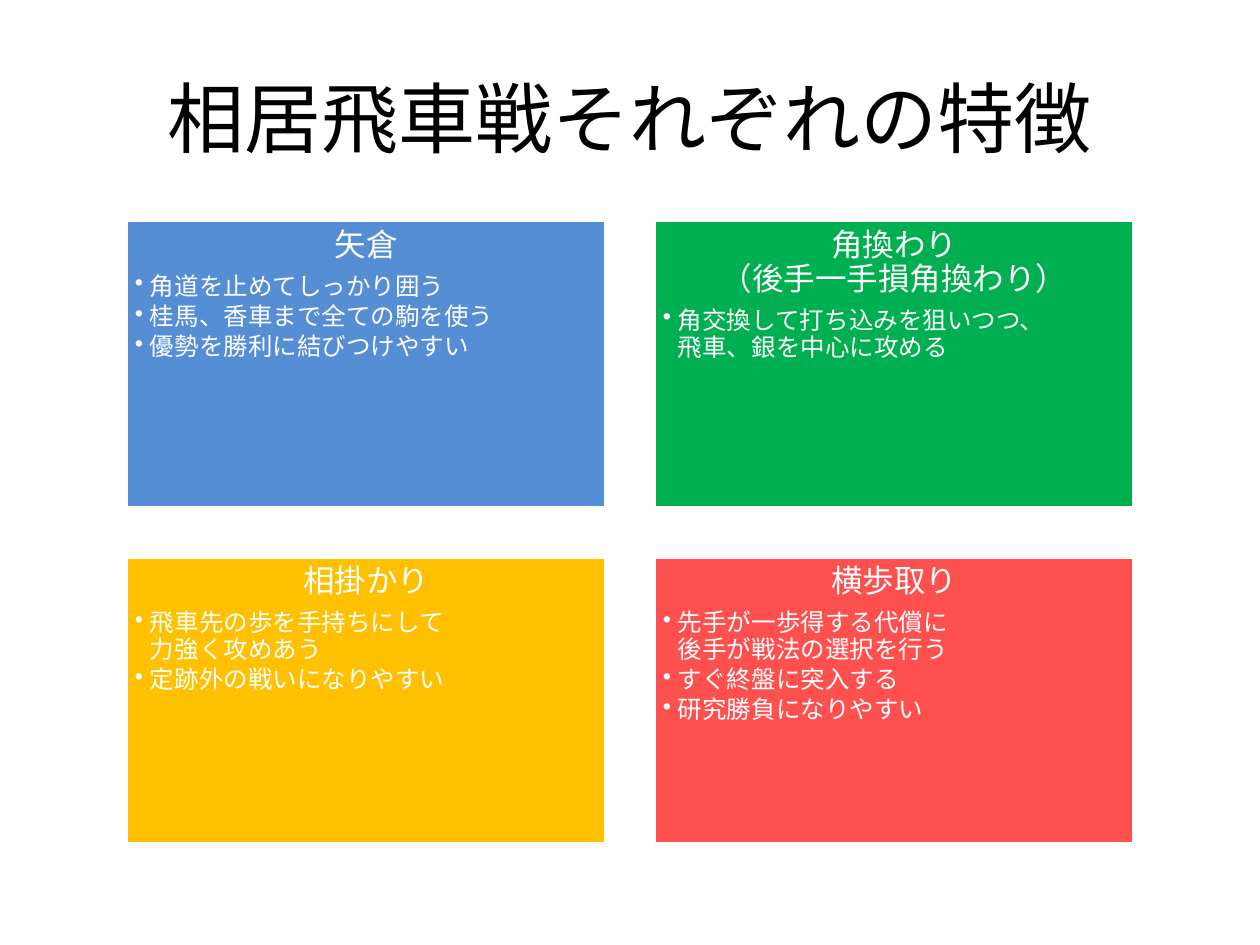
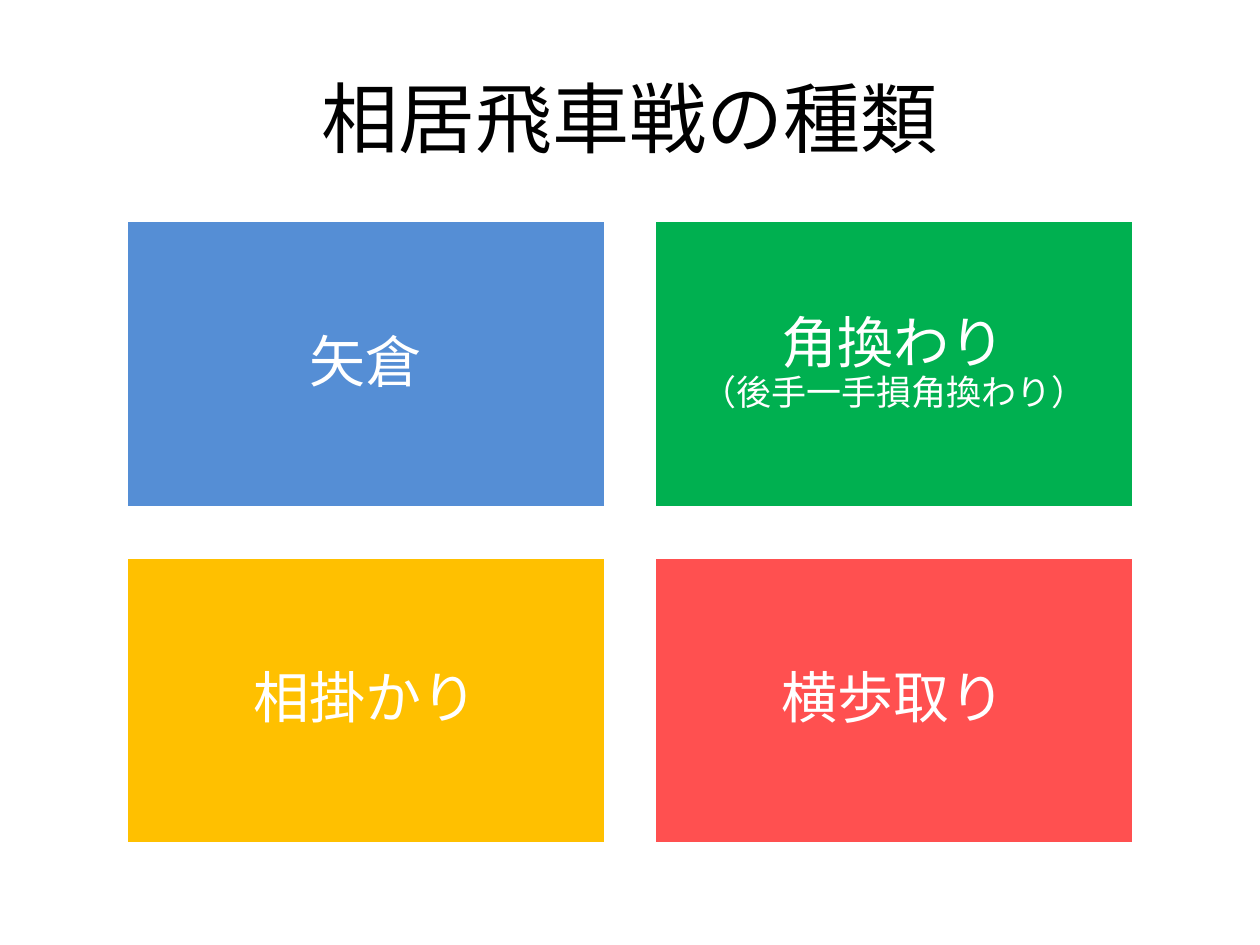
from dataclasses import dataclass

from lxml import etree
from pptx import Presentation
from pptx.dml.color import RGBColor
from pptx.enum.shapes import MSO_SHAPE
from pptx.enum.text import MSO_ANCHOR, MSO_AUTO_SIZE, PP_ALIGN
from pptx.oxml.ns import qn
from pptx.presentation import Presentation as Deck
from pptx.slide import Slide
from pptx.text.text import TextFrame, _Paragraph
from pptx.util import Inches, Pt

RECTANGLE = MSO_SHAPE.RECTANGLE
CENTER, LEFT = PP_ALIGN.CENTER, PP_ALIGN.LEFT
TOP, MIDDLE = MSO_ANCHOR.TOP, MSO_ANCHOR.MIDDLE
NO_AUTOFIT = MSO_AUTO_SIZE.NONE

FONT = "Noto Sans CJK JP"
COLORS = {
    "title": "000000",
    "white": "FFFFFF",
    "blue": "558ED5",
    "green": "00B050",
    "yellow": "FFC000",
    "red": "FF5050",
}

# Slide size and the two-by-two grid of cards, in inches
WIDTH, HEIGHT = 10, 7.5
COLUMNS = 2
GRID_LEFT, GRID_TOP = 0.1 * WIDTH, 1.75
CARD_WIDTH, CARD_HEIGHT = 3.81, 2.28
COLUMN_STEP, ROW_STEP = 4.19, 2.67
BULLET_INDENT = Inches(0.12)


@dataclass(frozen=True)
class Opening:
    """One opening: its name, an optional variant and its features."""
    name: str
    color: str
    features: tuple[str, ...]
    variant: str = ""

    @property
    def heading(self) -> str:
        return f"{self.name}\v{self.variant}" if self.variant else self.name


@dataclass(frozen=True)
class CardStyle:
    """How the cards of one slide set their text."""
    anchor: MSO_ANCHOR
    inset: float
    name_size: int
    variant_size: int
    feature_size: int = 0  # zero leaves the features out


DETAILED = CardStyle(TOP, 0.07, 18, 18, 14)
NAMES_ONLY = CardStyle(MIDDLE, 0.13, 32, 20)

OPENINGS = (
    Opening("矢倉", "blue", (
        "角道を止めてしっかり囲う",
        "桂馬、香車まで全ての駒を使う",
        "優勢を勝利に結びつけやすい",
    )),
    Opening("角換わり", "green", (
        "角交換して打ち込みを狙いつつ、\v飛車、銀を中心に攻める",
    ), "（後手一手損角換わり）"),
    Opening("相掛かり", "yellow", (
        "飛車先の歩を手持ちにして\v力強く攻めあう",
        "定跡外の戦いになりやすい",
    )),
    Opening("横歩取り", "red", (
        "先手が一歩得する代償に\v後手が戦法の選択を行う",
        "すぐ終盤に突入する",
        "研究勝負になりやすい",
    )),
)

PAGES = (
    ("相居飛車戦それぞれの特徴", DETAILED),
    ("相居飛車戦の種類", NAMES_ONLY),
)


def rgb(name: str) -> RGBColor:
    return RGBColor.from_string(COLORS[name])


def format_runs(para: _Paragraph, color: str, *sizes: int) -> None:
    """Format each run; the last size serves any further runs."""
    for index, span in enumerate(para.runs):
        span.font.size = Pt(sizes[min(index, len(sizes) - 1)])
        span.font.name = FONT
        span.font.color.rgb = rgb(color)
        # East Asian typeface
        etree.SubElement(span.font._element, qn("a:ea"), typeface=FONT)
    # Line breaks take the size of the first line
    for line_break in para._p.findall(qn("a:br")):
        etree.SubElement(line_break, qn("a:rPr"), sz=str(sizes[0] * 100))


def add_bullet(para: _Paragraph) -> None:
    properties = para._p.get_or_add_pPr()
    properties.set("marL", str(BULLET_INDENT))
    properties.set("indent", str(-BULLET_INDENT))
    etree.SubElement(properties, qn("a:buChar"), char="•")


def add_title(page: Slide, text: str) -> None:
    title = page.shapes.title
    title.left, title.top = Inches(0.05 * WIDTH), Inches(0.04 * HEIGHT)
    title.width, title.height = Inches(0.9 * WIDTH), Inches(1.25)
    frame = title.text_frame
    frame.text = text
    frame.auto_size = NO_AUTOFIT
    frame.vertical_anchor = MIDDLE
    para = frame.paragraphs[0]
    para.alignment = CENTER
    format_runs(para, "title", 44)


def fill_card(frame: TextFrame, opening: Opening, style: CardStyle) -> None:
    frame.word_wrap = True
    frame.vertical_anchor = style.anchor
    frame.margin_left = frame.margin_right = Inches(style.inset)
    frame.margin_top = frame.margin_bottom = Inches(style.inset)

    # Heading
    heading = frame.paragraphs[0]
    heading.text = opening.heading
    heading.alignment = CENTER
    heading.line_spacing = 0.9
    heading.space_after = Pt(0.35 * style.name_size)
    format_runs(heading, "white", style.name_size, style.variant_size)

    # Features
    for feature in opening.features if style.feature_size else ():
        para = frame.add_paragraph()
        para.text = feature
        para.level = 1
        para.alignment = LEFT
        para.line_spacing = 0.9
        para.space_after = Pt(0.15 * style.feature_size)
        add_bullet(para)
        format_runs(para, "white", style.feature_size)


def add_card(page: Slide, index: int, opening: Opening, style: CardStyle) -> None:
    row, column = divmod(index, COLUMNS)
    box = page.shapes.add_shape(
        RECTANGLE,
        Inches(GRID_LEFT + column * COLUMN_STEP),
        Inches(GRID_TOP + row * ROW_STEP),
        Inches(CARD_WIDTH),
        Inches(CARD_HEIGHT),
    )
    box.shadow.inherit = False
    box.fill.solid()
    box.fill.fore_color.rgb = rgb(opening.color)
    box.line.color.rgb = rgb("white")
    box.line.width = Pt(2)
    fill_card(box.text_frame, opening, style)


def add_page(deck: Deck, title: str, style: CardStyle) -> None:
    title_only = deck.slide_layouts.get_by_name("Title Only")
    page = deck.slides.add_slide(title_only)
    add_title(page, title)
    for index, opening in enumerate(OPENINGS):
        add_card(page, index, opening, style)


def main() -> None:
    deck = Presentation()
    deck.slide_width, deck.slide_height = Inches(WIDTH), Inches(HEIGHT)
    for title, style in PAGES:
        add_page(deck, title, style)
    deck.save("out.pptx")


if __name__ == "__main__":
    main()
